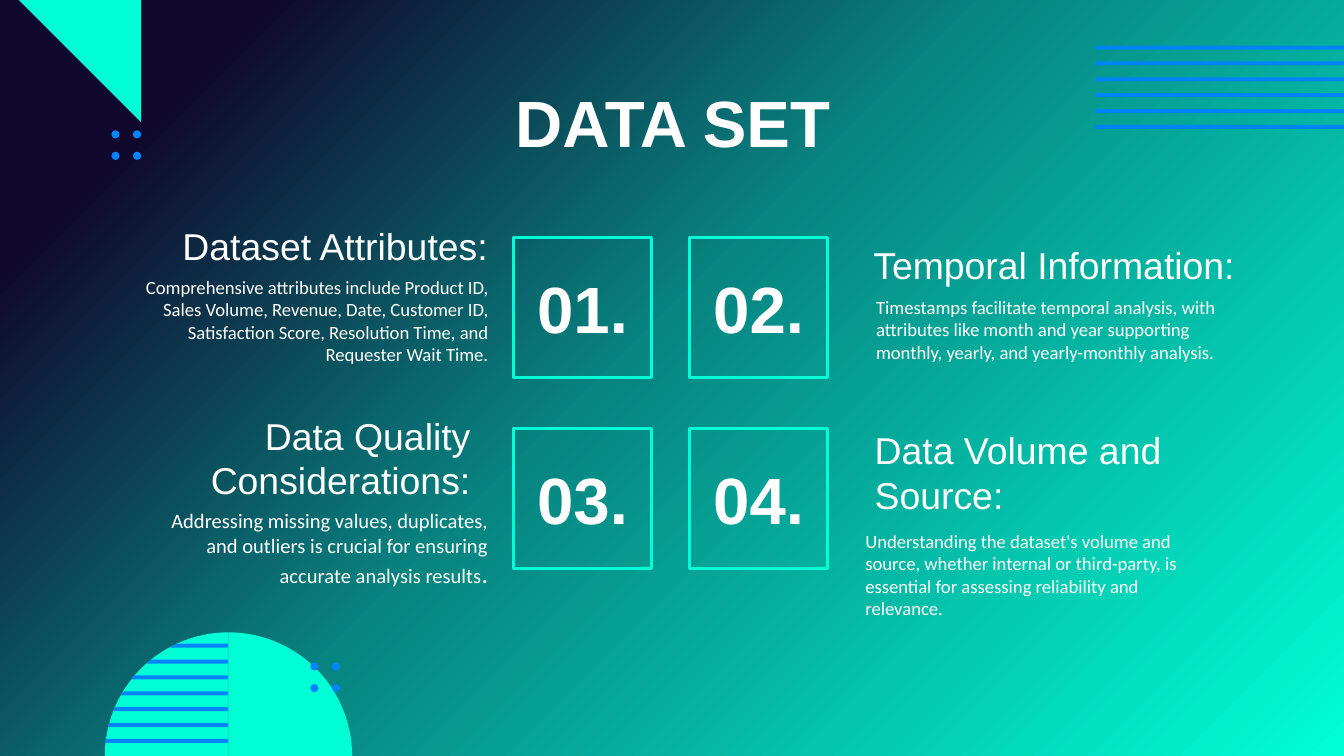
import math
from dataclasses import dataclass

import lxml.etree
import pptx
import pptx.dml.color
import pptx.enum.shapes
import pptx.enum.text
import pptx.oxml.ns
import pptx.util
from pptx.util import Inches

ALIGN = pptx.enum.text.PP_ALIGN
ANCHOR = pptx.enum.text.MSO_ANCHOR
PRESET = pptx.enum.shapes.MSO_SHAPE


@dataclass(frozen=True)
class Theme:
    mint: str = "00FFD5"
    blue: str = "0084FF"
    white: str = "FFFFFF"
    gradient: tuple = ((0, "10092D"), (13, "10092D"), (47, "088481"), (100, "00FFD5"))
    display: float = 35
    heading: float = 20
    body: float = 10
    body_large: float = 11
    full_stop: float = 14
    heading_font: str = "Arial"
    body_font: str = "Calibri"


THEME = Theme()


@dataclass(frozen=True)
class Box:
    left: float
    top: float
    width: float
    height: float

    def lengths(self) -> list:
        return [Inches(v) for v in (self.left, self.top, self.width, self.height)]


@dataclass(frozen=True)
class Topic:
    heading: str
    heading_box: Box
    runs: tuple  # (text, size) pairs
    body_box: Box
    align: ALIGN


def rgb(value: str) -> pptx.dml.color.RGBColor:
    return pptx.dml.color.RGBColor.from_string(value)


def paint(shape, color: str) -> None:
    shape.fill.solid()
    shape.fill.fore_color.rgb = rgb(color)
    shape.line.fill.background()
    shape.shadow.inherit = False


def paint_background(slide) -> None:
    fill = slide.background.fill
    fill.gradient()
    qn = pptx.oxml.ns.qn
    gradient = slide.background._cSld.find(".//" + qn("a:gradFill"))
    stops = gradient.find(qn("a:gsLst"))
    for stop in list(stops):
        stops.remove(stop)
    for percent, color in THEME.gradient:
        stop = lxml.etree.SubElement(stops, qn("a:gs"), pos=str(percent * 1000))
        lxml.etree.SubElement(stop, qn("a:srgbClr"), val=color)
    direction = gradient.find(qn("a:lin"))
    direction.set("ang", str(45 * 60000))
    direction.set("scaled", "0")


def add_preset(slide, preset: PRESET, box: Box, color: str) -> None:
    paint(slide.shapes.add_shape(preset, *box.lengths()), color)


def add_outline(slide, points: list, color: str) -> None:
    start, *rest = [(Inches(x), Inches(y)) for x, y in points]
    builder = slide.shapes.build_freeform(*start)
    builder.add_line_segments(rest, close=True)
    paint(builder.convert_to_shape(), color)


def add_dots(slide, left: float, top: float) -> None:
    for column in range(2):
        for row in range(2):
            dot = Box(left + 0.16 * column, top + 0.16 * row, 0.06, 0.06)
            add_preset(slide, PRESET.OVAL, dot, THEME.blue)


def add_dome(slide, center_x: float, base: float, radius: float) -> None:
    def left_edge(y: float) -> float:
        return center_x - math.sqrt(radius ** 2 - (base - y) ** 2)

    def quarter(side: int) -> list:
        angles = [math.radians(3 * step) for step in range(31)]
        arc = [(center_x + side * radius * math.cos(a), base - radius * math.sin(a))
               for a in angles]
        return arc + [(center_x, base)]

    add_outline(slide, quarter(-1), THEME.mint)
    for index in range(7):  # stripes end on the curve
        top = 4.79 + 0.118 * index
        bottom = top + 0.03
        stripe = [(left_edge(top), top), (left_edge(bottom), bottom),
                  (center_x, bottom), (center_x, top)]
        add_outline(slide, stripe, THEME.blue)
    add_outline(slide, quarter(1), THEME.mint)


def write(shape, runs: tuple, font: str, align: ALIGN, anchor: ANCHOR,
          bold: bool = False) -> None:
    frame = shape.text_frame
    layout = dict.fromkeys(
        ("margin_left", "margin_top", "margin_right", "margin_bottom"), Inches(0.1))
    layout.update(word_wrap=True, vertical_anchor=anchor)
    for name, value in layout.items():
        setattr(frame, name, value)
    paragraph = frame.paragraphs[0]
    paragraph.alignment = align
    for text, size in runs:
        run = paragraph.add_run()
        run.text = text
        style = {"name": font, "size": pptx.util.Pt(size), "bold": bold}
        for name, value in style.items():
            setattr(run.font, name, value)
        run.font.color.rgb = rgb(THEME.white)


def add_number(slide, text: str, box: Box) -> None:
    tile = slide.shapes.add_shape(PRESET.RECTANGLE, *box.lengths())
    tile.shadow.inherit = False
    tile.fill.background()
    tile.line.color.rgb = rgb(THEME.mint)
    tile.line.width = pptx.util.Pt(1.5)
    write(tile, ((text, THEME.display),), THEME.heading_font,
          ALIGN.CENTER, ANCHOR.MIDDLE, bold=True)


def add_topic(slide, topic: Topic) -> None:
    heading = slide.shapes.add_textbox(*topic.heading_box.lengths())
    write(heading, ((topic.heading, THEME.heading),), THEME.heading_font,
          topic.align, ANCHOR.MIDDLE)
    body = slide.shapes.add_textbox(*topic.body_box.lengths())
    write(body, topic.runs, THEME.body_font, topic.align, ANCHOR.TOP)


TOPICS = (
    Topic("Dataset Attributes:", Box(0.91, 1.63, 2.82, 0.4),
          (("Comprehensive attributes include Product ID, Sales Volume, Revenue, Date, "
            "Customer ID, Satisfaction Score, Resolution Time, and Requester Wait Time.",
            THEME.body),),
          Box(0.91, 1.95, 2.82, 1.1), ALIGN.RIGHT),
    Topic("Temporal Information:", Box(6.4, 1.77, 3.24, 0.4),
          (("Timestamps facilitate temporal analysis, with attributes like month and year "
            "supporting monthly, yearly, and yearly-monthly analysis.", THEME.body),),
          Box(6.42, 2.1, 2.82, 0.87), ALIGN.LEFT),
    Topic("Data Quality Considerations:", Box(0.35, 3.05, 3.25, 0.71),
          (("Addressing missing values, duplicates, and outliers is crucial for ensuring "
            "accurate analysis results", THEME.body_large), (".", THEME.full_stop)),
          Box(0.91, 3.68, 2.82, 0.79), ALIGN.RIGHT),
    Topic("Data Volume and Source:", Box(6.41, 3.19, 3, 0.64),
          (("Understanding the dataset's volume and source, whether internal or "
            "third-party, is essential for assessing reliability and relevance.",
            THEME.body),),
          Box(6.34, 3.84, 2.82, 0.79), ALIGN.LEFT),
)


def main() -> None:
    deck = pptx.Presentation()
    deck.slide_width, deck.slide_height = Inches(10), Inches(5.625)
    slide = deck.slides.add_slide(deck.slide_layouts[6])
    paint_background(slide)

    # Corner decorations
    for index in range(6):
        stripe = Box(8.15, 0.34 + 0.118 * index, 2.56, 0.03)
        add_preset(slide, PRESET.RECTANGLE, stripe, THEME.blue)
    add_dome(slide, center_x=1.7, base=5.625, radius=0.92)
    add_outline(slide, [(0.14, 0), (1.05, 0.91), (1.05, 0)], THEME.mint)
    add_dots(slide, 0.83, 0.97)
    add_dots(slide, 2.31, 4.93)

    # Title
    title = slide.shapes.add_textbox(*Box(0.79, 0.59, 8.43, 0.63).lengths())
    write(title, (("DATA SET", THEME.display),), THEME.heading_font,
          ALIGN.CENTER, ANCHOR.MIDDLE, bold=True)

    # Numbered topics, two by two
    for index, topic in enumerate(TOPICS):
        row, column = divmod(index, 2)
        tile = Box(3.82 + 1.31 * column, 1.77 + 1.42 * row, 1.03, 1.04)
        add_number(slide, f"{index + 1:02d}.", tile)
        add_topic(slide, topic)

    deck.save("out.pptx")


if __name__ == "__main__":
    main()
